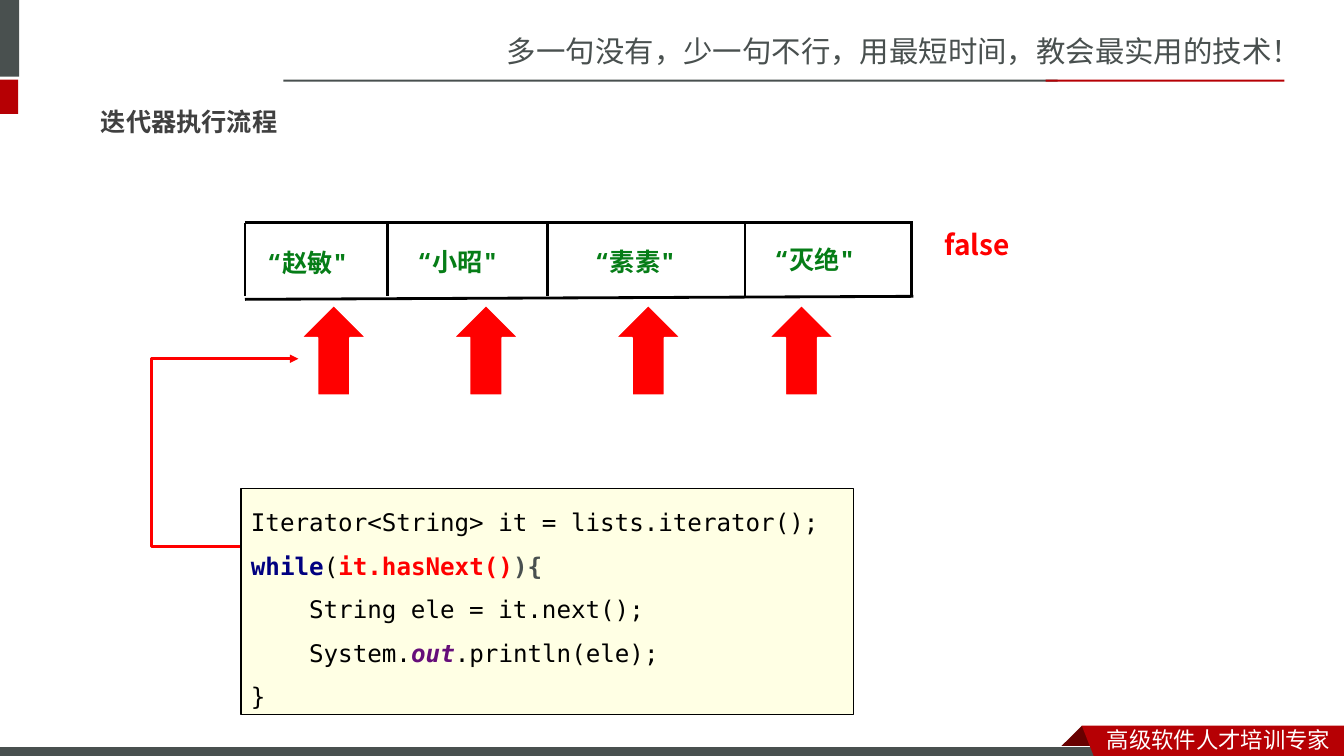
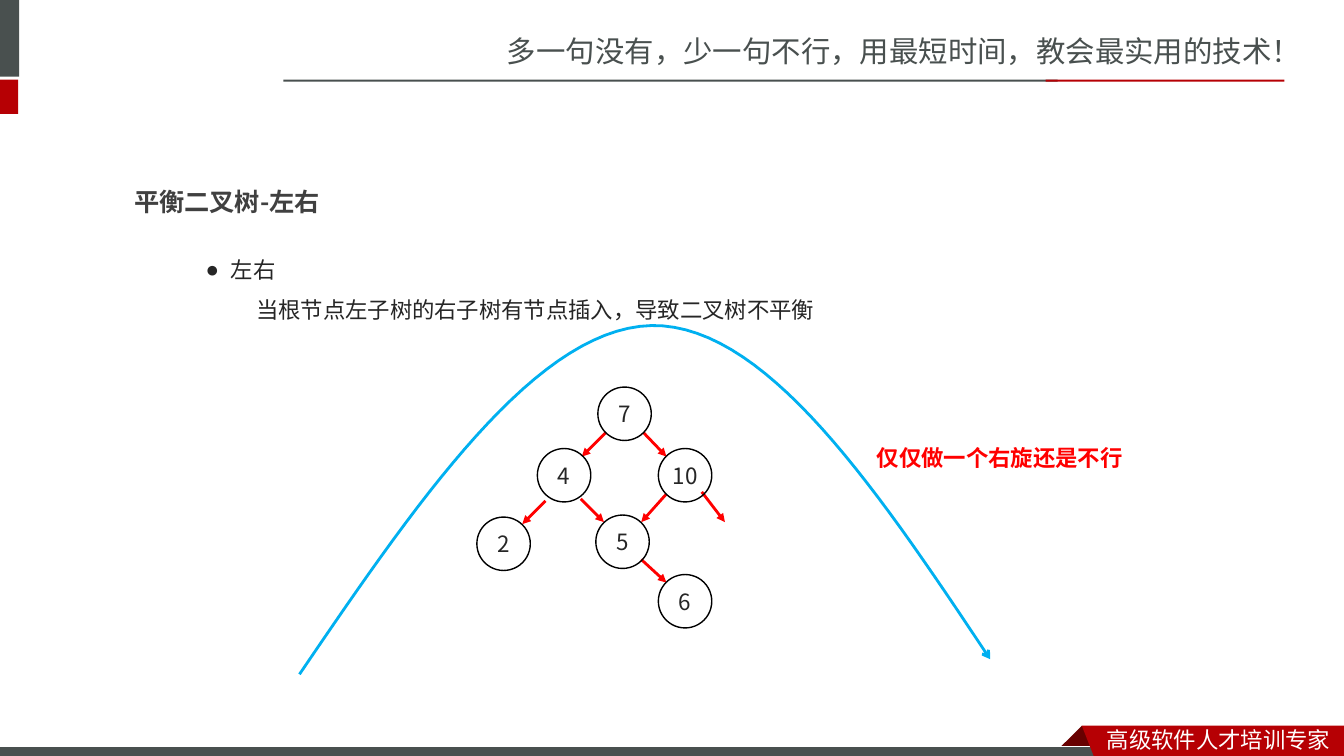
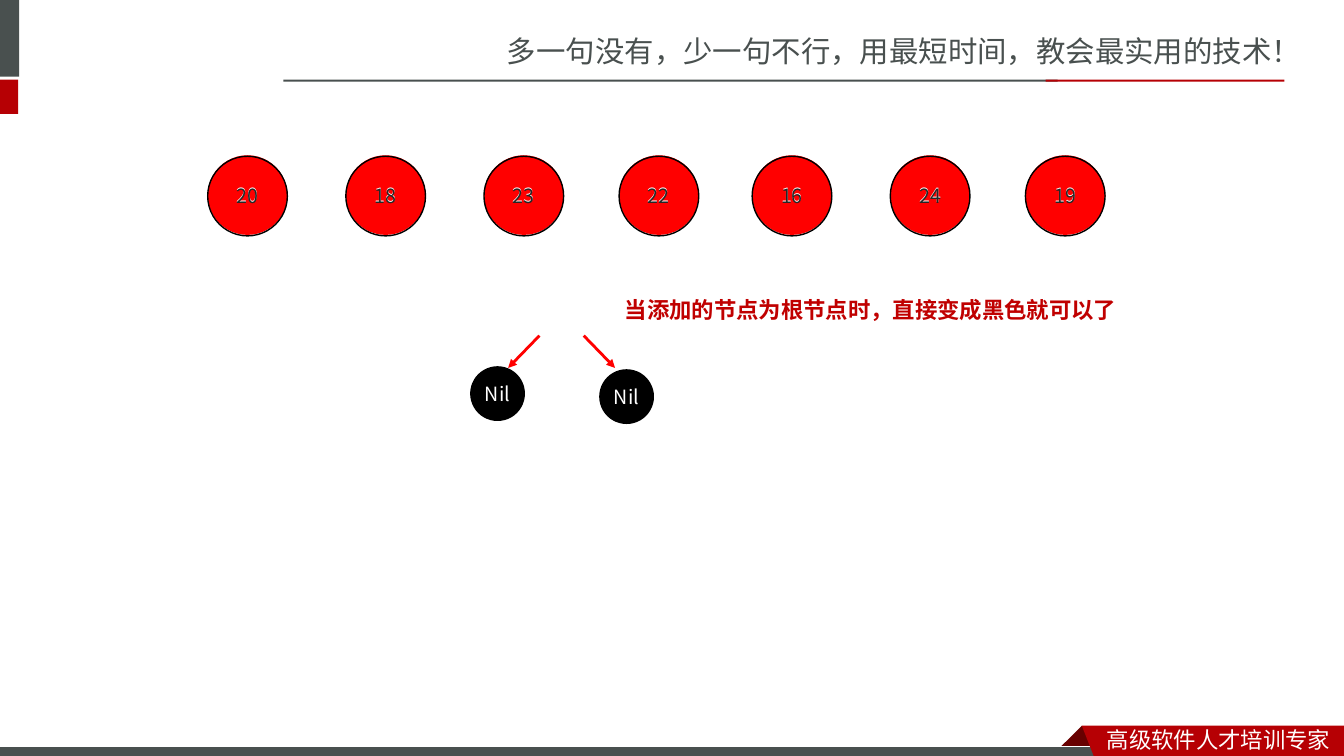
from lxml.etree import SubElement
from pptx import Presentation
from pptx.dml.color import RGBColor
from pptx.enum.shapes import MSO_CONNECTOR, MSO_SHAPE
from pptx.enum.text import MSO_ANCHOR, MSO_AUTO_SIZE, PP_ALIGN
from pptx.oxml.ns import qn
from pptx.util import Inches, Pt

GRAY = RGBColor(0x49, 0x50, 0x4F)
BRAND_RED = RGBColor(0xB6, 0x00, 0x04)
FOLD_RED = RGBColor(0x68, 0x00, 0x00)
NOTE_RED = RGBColor(0xC0, 0x00, 0x00)
RED = RGBColor(0xFF, 0x00, 0x00)
BLUE = RGBColor(0x00, 0xB0, 0xF0)
WHITE = RGBColor(0xFF, 0xFF, 0xFF)
BLACK = RGBColor(0x00, 0x00, 0x00)
TITLE_GRAY = RGBColor(0x40, 0x40, 0x40)
TEXT_GRAY = RGBColor(0x26, 0x26, 0x26)
STRING_GREEN = RGBColor(0x06, 0x7D, 0x17)
KEYWORD_BLUE = RGBColor(0x00, 0x00, 0x80)
FIELD_PURPLE = RGBColor(0x66, 0x0E, 0x7A)
CODE_YELLOW = RGBColor(0xFF, 0xFF, 0xE4)

SANS = "Noto Sans CJK SC"
MONO = "Noto Sans Mono"
CODE = "DejaVu Sans Mono"


def add_run(paragraph, text, size, color, font=SANS, bold=False, italic=False):
    run = paragraph.add_run()
    run.text = text
    run.font.size = Pt(size)
    run.font.color.rgb = color
    run.font.name = font
    run.font.bold = bold
    run.font.italic = italic
    SubElement(run.font._element, qn("a:ea"), typeface=font)


def add_line(slide, start, end, color, arrow=False, kind=MSO_CONNECTOR.STRAIGHT):
    ends = [Inches(value) for value in (*start, *end)]
    line = slide.shapes.add_connector(kind, *ends)
    line.line.color.rgb = color
    line.line.width = Pt(2)
    if arrow:
        SubElement(line.line._get_or_add_ln(), qn("a:tailEnd"), type="triangle")
    SubElement(line._element.spPr, qn("a:effectLst"))
    return line


presentation = Presentation()
presentation.slide_width = Inches(13.33)
presentation.slide_height = Inches(7.5)
title_only, title_and_body, blank = (presentation.slide_layouts[i] for i in (5, 1, 6))
iterator_slide = presentation.slides.add_slide(title_only)
tree_slide = presentation.slides.add_slide(title_and_body)
nodes_slide = presentation.slides.add_slide(blank)

# Header and footer, drawn once and moved to the slide master
shapes = nodes_slide.shapes
bands = [
    (-0.06, 0, 0.25, 0.76, GRAY),
    (-0.06, 0.79, 0.24, 0.34, BRAND_RED),
    (2.81, 0.79, 7.68, 0.02, GRAY),
    (10.37, 0.79, 2.37, 0.02, BRAND_RED),
    (-0.01, 7.41, 11, 0.12, GRAY),
]
for left, top, width, height, color in bands:
    band = shapes.add_shape(MSO_SHAPE.RECTANGLE, Inches(left), Inches(top),
                            Inches(width), Inches(height))
    band.fill.solid()
    band.fill.fore_color.rgb = color
    band.line.fill.background()
    band.shadow.inherit = False
footer_bar = band
footer_bar.line.color.rgb = WHITE
footer_bar.line.width = Pt(0.75)

ribbon_parts = [
    (FOLD_RED, [(10.73, 7.2), (10.95, 7.42), (10.94, 7.43), (10.52, 7.43), (10.51, 7.42)]),
    (BRAND_RED, [(10.73, 7.2), (13.33, 7.2), (13.33, 7.54), (10.86, 7.53)]),
]
for color, corners in ribbon_parts:
    points = [(Inches(x), Inches(y)) for x, y in corners]
    builder = shapes.build_freeform(*points[0])
    builder.add_line_segments(points[1:], close=True)
    ribbon = builder.convert_to_shape()
    ribbon.fill.solid()
    ribbon.fill.fore_color.rgb = color
    ribbon.line.fill.background()
    ribbon.shadow.inherit = False
footer_bar._element.addprevious(shapes[-2]._element)

slogans = [
    (4.93, 0.28, 8.41, 0.47, "多一句没有，少一句不行，用最短时间，教会最实用的技术！", 21, GRAY),
    (10.88, 7.15, 2.45, 0.37, "高级软件人才培训专家", 16, WHITE),
]
for left, top, width, height, text, size, color in slogans:
    box = shapes.add_textbox(Inches(left), Inches(top), Inches(width), Inches(height))
    box.text_frame.word_wrap = True
    add_run(box.text_frame.paragraphs[0], text, size, color)

master_tree = presentation.slide_master.shapes._spTree
for number, shape in enumerate(list(shapes), start=20):
    shape._element.xpath(".//p:cNvPr")[0].set("id", str(number))
    master_tree.append(shape._element)

# Titles
titles = [
    (iterator_slide, 0.9, 0.85, 2.33, "迭代器执行流程", "Roboto"),
    (tree_slide, 1.23, 1.65, 4.56, "平衡二叉树-左右", SANS),
]
for slide, left, top, width, text, font in titles:
    title = slide.shapes.title
    title.left, title.top = Inches(left), Inches(top)
    title.width, title.height = Inches(width), Inches(0.5)
    title.text_frame.auto_size = MSO_AUTO_SIZE.NONE
    title.text_frame.vertical_anchor = MSO_ANCHOR.TOP
    paragraph = title.text_frame.paragraphs[0]
    paragraph.alignment = PP_ALIGN.LEFT
    paragraph.line_spacing = 1.5
    add_run(paragraph, text, 18, TITLE_GRAY, font, bold=True)

# Slide 1: the list cells, the pointer arrows and the loop
add_line(iterator_slide, (2.43, 2.21), (9.06, 2.21), BLACK)
add_line(iterator_slide, (2.43, 2.97), (9.06, 2.94), BLACK)
for x in (2.43, 3.84, 5.43, 7.39, 9.04):
    add_line(iterator_slide, (x, 2.21), (x, 2.94), BLACK)

for left in (2.99, 4.5, 6.11, 7.63):
    pointer = iterator_slide.shapes.add_shape(
        MSO_SHAPE.UP_ARROW, Inches(left), Inches(3.03), Inches(0.64), Inches(0.89))
    pointer.fill.solid()
    pointer.fill.fore_color.rgb = RED
    pointer.line.color.rgb = WHITE
    pointer.line.width = Pt(1)
    pointer.shadow.inherit = False

loop_arrow = add_line(iterator_slide, (4.83, 5.42), (2.96, 3.56), RED, True, MSO_CONNECTOR.ELBOW)
adjustments = loop_arrow._element.spPr.find(qn("a:prstGeom")).get_or_add_avLst()
SubElement(adjustments, qn("a:gd"), name="adj1", fmla="val 178000")

code_box = iterator_slide.shapes.add_shape(
    MSO_SHAPE.RECTANGLE, Inches(2.39), Inches(4.85), Inches(6.08), Inches(2.24))
code_box.fill.solid()
code_box.fill.fore_color.rgb = CODE_YELLOW
code_box.line.color.rgb = BLACK
code_box.line.width = Pt(0.75)
code_box.shadow.inherit = False
code_box.text_frame.vertical_anchor = MSO_ANCHOR.MIDDLE
code_lines = [
    [("Iterator<String> it = lists.iterator();", BLACK, False, False)],
    [("while", KEYWORD_BLUE, True, False), ("(", BLACK, False, False),
     ("it.hasNext()", RED, True, False), ("){", GRAY, True, False)],
    [("    String ele = it.next();", BLACK, False, False)],
    [("    System.", BLACK, False, False), ("out", FIELD_PURPLE, True, True),
     (".println(ele);", BLACK, False, False)],
    [("}", BLACK, False, False)],
]
for index, code_line in enumerate(code_lines):
    frame = code_box.text_frame
    paragraph = frame.add_paragraph() if index else frame.paragraphs[0]
    paragraph.alignment = PP_ALIGN.LEFT
    paragraph.line_spacing = 1.5
    for text, color, bold, italic in code_line:
        add_run(paragraph, text, 17.3, color, CODE, bold, italic)

# Slide 2: the rule, the tree edges and the rotation curve
body = tree_slide.placeholders[1]
body.left, body.top = Inches(1.94), Inches(2.36)
body.width, body.height = Inches(10.74), Inches(0.86)
body.text_frame.auto_size = MSO_AUTO_SIZE.NONE
rule_lines = [("左右", 0.25, -0.25, "●"), ("当根节点左子树的右子树有节点插入，导致二叉树不平衡", 0.5, 0, None)]
for index, (text, margin, indent, bullet) in enumerate(rule_lines):
    frame = body.text_frame
    paragraph = frame.add_paragraph() if index else frame.paragraphs[0]
    paragraph.line_spacing = 1.5
    paragraph.space_before = Pt(0)
    properties = paragraph._p.get_or_add_pPr()
    properties.set("marL", str(Inches(margin)))
    properties.set("indent", str(Inches(indent)))
    if bullet:
        SubElement(properties, qn("a:buChar"), char=bullet)
    else:
        SubElement(properties, qn("a:buNone"))
    add_run(paragraph, text, 16, TEXT_GRAY)

edges = [
    (tree_slide, (6.01, 4.29), (5.77, 4.53)),
    (tree_slide, (6.38, 4.29), (6.61, 4.53)),
    (tree_slide, (5.41, 4.97), (5.18, 5.2)),
    (tree_slide, (5.76, 4.95), (5.99, 5.18)),
    (tree_slide, (6.96, 4.88), (7.19, 5.18)),
    (tree_slide, (6.61, 4.9), (6.36, 5.18)),
    (tree_slide, (6.36, 5.55), (6.61, 5.78)),
    (nodes_slide, (5.35, 3.33), (5.04, 3.65)),
    (nodes_slide, (5.79, 3.33), (6.1, 3.65)),
]
for slide, start, end in edges:
    add_line(slide, start, end, RED, arrow=True)

bezier_halves = [
    [(2.97, 6.69), (4.14, 4.97), (5.31, 3.26), (6.46, 3.23)],
    [(6.46, 3.23), (7.6, 3.21), (8.71, 4.87), (9.82, 6.54)],
]
STEPS = 30
curve_points = []
for controls in bezier_halves:
    for step in range(1, STEPS + 1):
        t = step / STEPS
        weights = ((1 - t) ** 3, 3 * t * (1 - t) ** 2, 3 * t ** 2 * (1 - t), t ** 3)
        curve_points.append(tuple(
            Inches(sum(weight * point[axis] for weight, point in zip(weights, controls)))
            for axis in (0, 1)))
builder = tree_slide.shapes.build_freeform(Inches(2.97), Inches(6.69))
builder.add_line_segments(curve_points, close=False)
rotation_curve = builder.convert_to_shape()
rotation_curve.fill.background()
rotation_curve.line.color.rgb = BLUE
rotation_curve.line.width = Pt(2)
SubElement(rotation_curve.line._get_or_add_ln(), qn("a:tailEnd"), type="arrow")
rotation_curve.shadow.inherit = False

# Circles of slides 2 and 3
circles = []
for left, top, text in [(5.93, 3.84, "7"), (5.33, 4.45, "4"), (6.53, 4.45, "10"),
                        (4.73, 5.13, "2"), (5.91, 5.11, "5"), (6.53, 5.7, "6")]:
    circles.append((tree_slide, left, top, 0.53, None, BLACK, text, 16, TEXT_GRAY))
for left, text in [(2.06, "20"), (3.43, "18"), (4.8, "23"), (6.14, "22"),
                   (7.46, "16"), (8.83, "24"), (10.17, "19")]:
    circles.append((nodes_slide, left, 1.54, 0.79, RED, None, text, 14, WHITE))
    circles.append((nodes_slide, left, 1.55, 0.79, None, BLACK, text, 14, TEXT_GRAY))
for left, top in [(4.67, 3.64), (5.95, 3.67)]:
    circles.append((nodes_slide, left, top, 0.53, BLACK, BLACK, "Nil", 14, WHITE))

for slide, left, top, diameter, fill, outline, text, size, color in circles:
    circle = slide.shapes.add_shape(MSO_SHAPE.OVAL, Inches(left), Inches(top),
                                    Inches(diameter), Inches(diameter))
    circle.shadow.inherit = False
    if fill is None:
        circle.fill.background()
    else:
        circle.fill.solid()
        circle.fill.fore_color.rgb = fill
    if outline is None:
        circle.line.fill.background()
    else:
        circle.line.color.rgb = outline
        circle.line.width = Pt(1)
    frame = circle.text_frame
    frame.margin_left = frame.margin_right = frame.margin_top = frame.margin_bottom = 0
    frame.vertical_anchor = MSO_ANCHOR.MIDDLE
    frame.paragraphs[0].alignment = PP_ALIGN.CENTER
    add_run(frame.paragraphs[0], text, size, color)

# Free labels of all slides
labels = [
    (iterator_slide, 9.27, 2.21, 0.93, 1, 20, RED, [("false", "Noto Sans CJK JP")]),
    (tree_slide, 8.6, 4.22, 2.67, 1.5, 16, RED, [("仅仅做一个右旋还是不行", SANS)]),
    (nodes_slide, 6.1, 2.76, 6.92, 1.5, 16, NOTE_RED,
     [("当添加的节点为根节点时，直接变成黑色就可以了", SANS)]),
]
for left, top, width, name in [(2.55, 2.4, 1.53, "赵敏"), (4.04, 2.39, 1.24, "小昭"),
                               (5.8, 2.39, 1.22, "素素"), (7.58, 2.37, 1.31, "灭绝")]:
    labels.append((iterator_slide, left, top, width, 1, 18, STRING_GREEN,
                   [("“", MONO), (name, SANS), ('"', MONO)]))
for slide, left, top, width, spacing, size, color, runs in labels:
    box = slide.shapes.add_textbox(Inches(left), Inches(top), Inches(width), Inches(0.44))
    box.text_frame.word_wrap = True
    paragraph = box.text_frame.paragraphs[0]
    paragraph.line_spacing = spacing
    for text, font in runs:
        add_run(paragraph, text, size, color, font, bold=True)

presentation.save("out.pptx")
